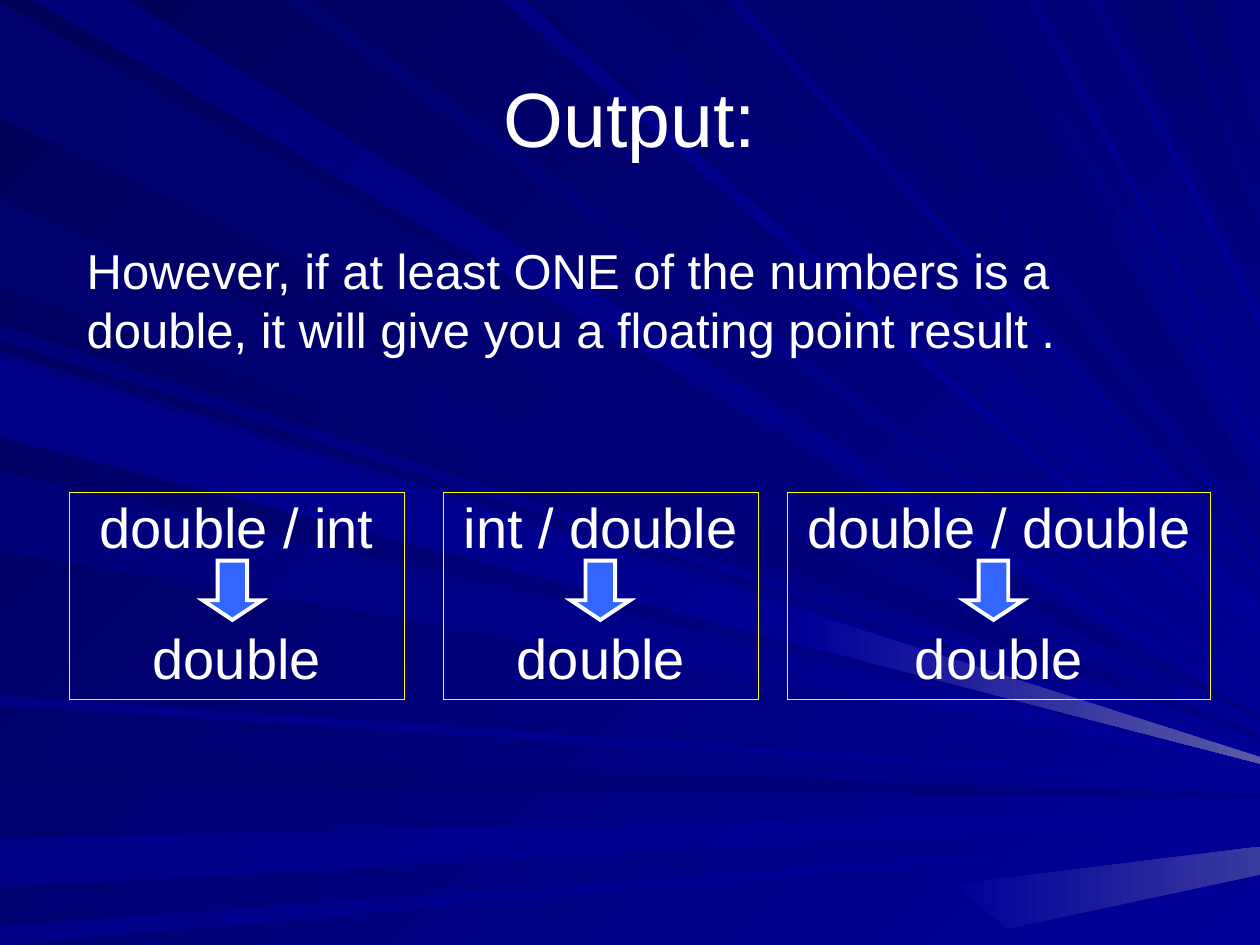
"""Build a slide on division results, with panels over a background of light rays."""
import dataclasses
import enum
import typing

import lxml.etree
import pptx
import pptx.dml.color
import pptx.enum.shapes
import pptx.enum.text
import pptx.oxml.ns
import pptx.shapes.autoshape
import pptx.slide
import pptx.text.text
import pptx.util

RGB = pptx.dml.color.RGBColor
SHAPE = pptx.enum.shapes.MSO_SHAPE
ALIGN = pptx.enum.text.PP_ALIGN
ANCHOR = pptx.enum.text.MSO_ANCHOR

WIDTH, HEIGHT = pptx.util.Inches(10), pptx.util.Inches(7.5)
COLUMNS = 1000
CELL = WIDTH // COLUMNS

WHITE = RGB(0xFF, 0xFF, 0xFF)
YELLOW = RGB(0xFF, 0xFF, 0x00)
ARROW_BLUE = RGB(0x33, 0x66, 0xFF)
DARK_NAVY = RGB(0x00, 0x00, 0x58)
DEEP = RGB(0x00, 0x00, 0x6E)
MID = RGB(0x00, 0x00, 0x79)
NAVY = RGB(0x00, 0x00, 0x80)
SOFT = RGB(0x00, 0x00, 0x87)
BLUE = RGB(0x00, 0x00, 0x99)
SLATE = RGB(0x39, 0x39, 0x9E)
HAZE = RGB(0x5A, 0x5A, 0xA6)

PANEL_TOP, PANEL_HEIGHT = 391, 164
ARROW_TOP, ARROW_SIZE = 445, 47


class Edge(enum.Enum):
    """The slide edge where a ray begins."""
    LEFT = 0
    TOP = 90


@dataclasses.dataclass(frozen=True)
class Ray:
    """A beam from a span of one edge to a row of the right edge."""
    edge: Edge
    first: int
    last: int
    target: int
    start: RGB
    end: RGB = BLUE
    spread: int = 2


@dataclasses.dataclass(frozen=True)
class Panel:
    """A division of two types, its column span and its arrow's column."""
    left: int
    width: int
    arrow_left: int
    division: str


RAYS = (
    Ray(Edge.LEFT, 2, 93, 569, DEEP, NAVY),
    Ray(Edge.TOP, 26, 101, 562, MID),
    Ray(Edge.LEFT, 596, 623, 631, DEEP, NAVY),
    Ray(Edge.LEFT, 665, 704, 643, SOFT, spread=8),
    Ray(Edge.LEFT, 735, 750, 662, SOFT),
    Ray(Edge.LEFT, 258, 270, 588, MID),
    Ray(Edge.LEFT, 159, 228, 584, DEEP, NAVY),
    Ray(Edge.TOP, 398, 416, 516, SOFT, spread=5),
    Ray(Edge.TOP, 426, 492, 479, DEEP, spread=28),
    Ray(Edge.TOP, 540, 552, 463, DEEP),
    Ray(Edge.TOP, 606, 661, 445, DEEP, NAVY),
    Ray(Edge.TOP, 887, 930, 183, DEEP, NAVY, spread=54),
    Ray(Edge.TOP, 939, 964, 114, DEEP, NAVY, spread=53),
    Ray(Edge.LEFT, 278, 342, 597, MID, spread=6),
    Ray(Edge.LEFT, 374, 437, 605, MID),
    Ray(Edge.LEFT, 552, 560, 621, SOFT),
    Ray(Edge.TOP, 225, 247, 547, DEEP, spread=5),
    Ray(Edge.TOP, 577, 588, 453, SOFT),
    Ray(Edge.TOP, 686, 770, 390, DEEP, NAVY, spread=38),
    Ray(Edge.TOP, 785, 792, 354, MID, spread=6),
    Ray(Edge.TOP, 815, 824, 335, SOFT),
    Ray(Edge.TOP, 865, 872, 249, SOFT, spread=9),
    Ray(Edge.LEFT, 283, 347, 601, SOFT, spread=5),
)

GLINTS = (
    (SLATE, ((756, 702), (1000, 672), (1000, 694), (800, 737))),
    (HAZE, ((637, 485), (1000, 601), (1000, 606), (633, 511))),
)

PANELS = (
    Panel(55, 266, 161, "double / int"),
    Panel(352, 250, 453, "int / double"),
    Panel(625, 336, 765, "double / double"),
)


def shade(fill: typing.Any, start: RGB, end: RGB, angle: int) -> None:
    """Give a fill two gradient stops at a clockwise angle."""
    fill.gradient()
    fill.gradient_angle = (360 - angle) % 360
    for stop, color in zip(fill.gradient_stops, (start, end)):
        stop.color.rgb = color


def draw_polygon(s: pptx.slide.Slide, points: typing.Sequence[tuple[int, int]],
                 start: RGB, end: RGB, angle: int) -> None:
    """Draw a shaded polygon with corners in grid cells."""
    builder = s.shapes.build_freeform(*points[0], scale=CELL)
    builder.add_line_segments(points[1:], close=True)
    sp = builder.convert_to_shape()
    sp.shadow.inherit = False
    sp.line.fill.background()
    shade(sp.fill, start, end, angle)


def draw_ray(s: pptx.slide.Slide, ray: Ray) -> None:
    """Draw one ray of the background."""
    near, far = (COLUMNS, ray.target), (COLUMNS, ray.target + ray.spread)
    if ray.edge is Edge.LEFT:
        points = ((0, ray.first), near, far, (0, ray.last))
    else:
        points = ((ray.last, 0), near, far, (ray.first, 0))
    draw_polygon(s, points, ray.start, ray.end, ray.edge.value if ray.end == NAVY else 45)


def write(tf: pptx.text.text.TextFrame, *texts: str, size: int, align: ALIGN = ALIGN.LEFT,
          anchor: ANCHOR = ANCHOR.TOP, spacing: float = 1.0, gap: float = 0) -> None:
    """Fill a text frame with one paragraph per text, gap points apart."""
    tf.word_wrap = True
    tf.vertical_anchor = anchor
    for i, text in enumerate(texts):
        p = tf.add_paragraph() if i else tf.paragraphs[0]
        p.alignment = align
        p.line_spacing = spacing
        if i:
            p.space_before = pptx.util.Pt(gap)
        r = p.add_run()
        r.text = text
        r.font.name = "Arial"
        r.font.size = pptx.util.Pt(size)
        r.font.color.rgb = WHITE


def add_text(s: pptx.slide.Slide, box: tuple[int, int, int, int], text: str,
             **style: typing.Any) -> None:
    """Add a text box placed in grid cells."""
    write(s.shapes.add_textbox(*(n * CELL for n in box)).text_frame, text, **style)


def add_outlined(s: pptx.slide.Slide, kind: SHAPE, box: tuple[int, int, int, int],
                 color: RGB, weight: float) -> pptx.shapes.autoshape.Shape:
    """Add an unfilled preset shape with a sharp-cornered outline."""
    sp = s.shapes.add_shape(kind, *(n * CELL for n in box))
    sp.shadow.inherit = False
    sp.fill.background()
    sp.line.color.rgb = color
    sp.line.width = pptx.util.Pt(weight)
    qn = pptx.oxml.ns.qn
    lxml.etree.SubElement(sp._element.spPr.find(qn("a:ln")), qn("a:miter"), lim="800000")
    return sp


def draw_panel(s: pptx.slide.Slide, panel: Panel) -> None:
    """Draw a division, its result and the arrow between them."""
    sp = add_outlined(s, SHAPE.RECTANGLE, (panel.left, PANEL_TOP, panel.width, PANEL_HEIGHT),
                      YELLOW, 0.75)
    sp.text_frame.margin_top = pptx.util.Inches(0.1)
    write(sp.text_frame, panel.division, "double", size=32, align=ALIGN.CENTER,
          spacing=0.8, gap=44.3)
    arrow = add_outlined(s, SHAPE.DOWN_ARROW,
                         (panel.arrow_left, ARROW_TOP, ARROW_SIZE, ARROW_SIZE), WHITE, 2.25)
    arrow.adjustments[1] = 0.33
    arrow.fill.solid()
    arrow.fill.fore_color.rgb = ARROW_BLUE


def main() -> None:
    """Build and save the slide."""
    prs = pptx.Presentation()
    prs.slide_width, prs.slide_height = WIDTH, HEIGHT
    s = prs.slides.add_slide(prs.slide_layouts[6])
    shade(s.background.fill, DARK_NAVY, BLUE, 45)
    for ray in RAYS:
        draw_ray(s, ray)
    for color, points in GLINTS:
        draw_polygon(s, points, BLUE, color, 0)
    add_text(s, (50, 30, 900, 125), "Output:", size=44, align=ALIGN.CENTER, anchor=ANCHOR.MIDDLE)
    add_text(s, (59, 186, 866, 103), "However, if at least ONE of the numbers is a double, "
             "it will give you a floating point result .", size=28)
    for panel in PANELS:
        draw_panel(s, panel)
    prs.save("out.pptx")


if __name__ == "__main__":
    main()
